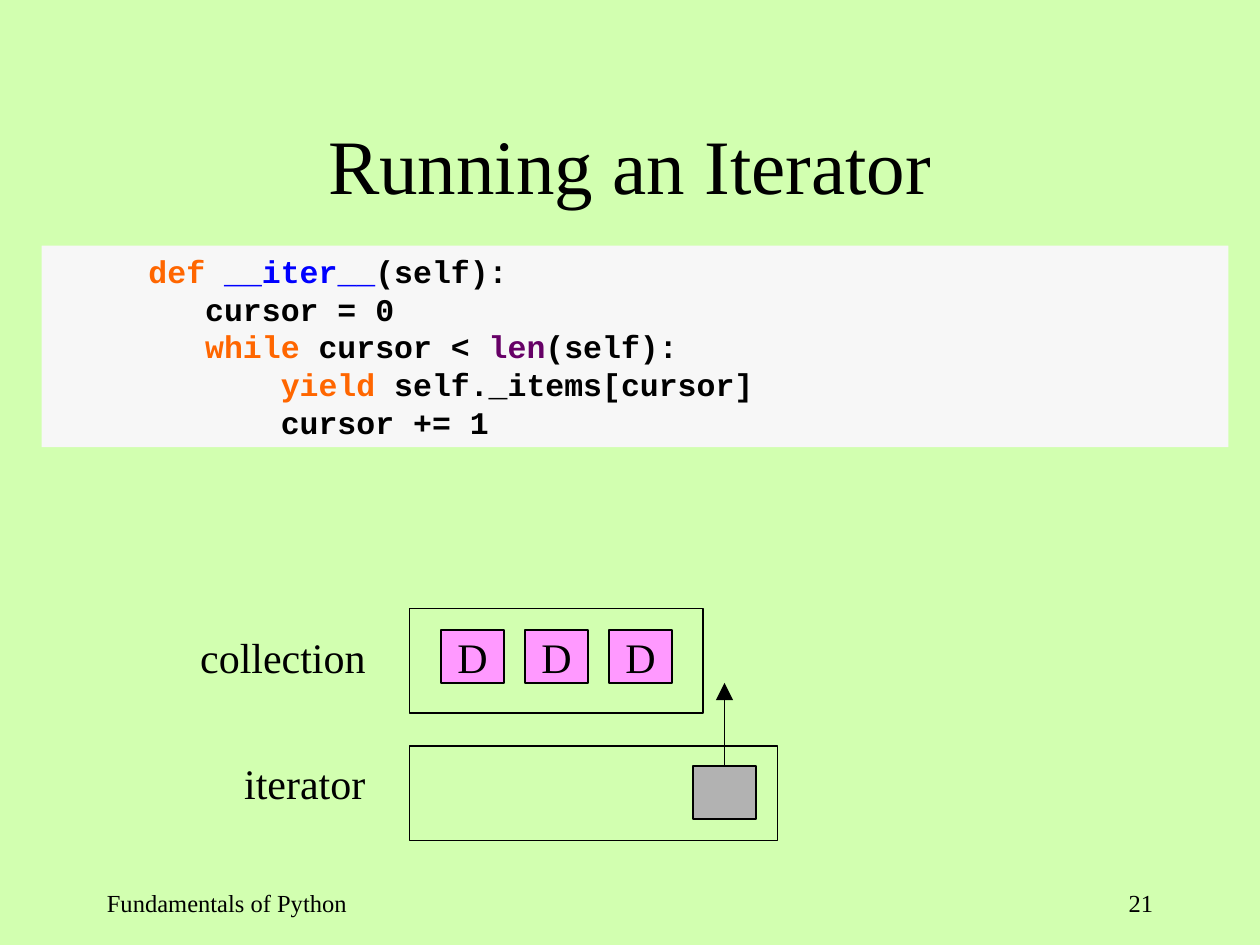
"""Build the slide that shows a list iterator after its last step."""
from lxml import etree
from pptx import Presentation
from pptx.dml.color import RGBColor
from pptx.enum import shapes, text
from pptx.oxml import ns
from pptx.util import Inches, Pt

SERIF, MONO = "Times New Roman", "Courier New"
BLACK, ORANGE, BLUE, PURPLE = "000000", "FF6600", "0000FF", "660066"
PINK, GRAY, PALE, GREEN = "FF99FF", "B2B2B2", "F7F7F7", "D2FFB0"
LEFT, CENTER, RIGHT = text.PP_ALIGN.LEFT, text.PP_ALIGN.CENTER, text.PP_ALIGN.RIGHT
TOP, MIDDLE = text.MSO_ANCHOR.TOP, text.MSO_ANCHOR.MIDDLE

LABELS = [
    ("Running an Iterator", (0.75, 0.67, 8.5, 1.25), 44, CENTER, MIDDLE, True),
    ("collection", (1.49, 4.96, 1.55, 0.5), 24, LEFT, TOP, False),
    ("iterator", (1.84, 5.96, 1.2, 0.5), 24, LEFT, TOP, False),
    ("Fundamentals of Python", (0.75, 7, 3.17, 0.5), 14, LEFT, TOP, True),
    ("21", (7.17, 7, 2.08, 0.5), 14, RIGHT, TOP, True),
]
CODE = [
    [("     def ", ORANGE), ("__iter__", BLUE), ("(self):", BLACK)],
    [("        cursor = 0", BLACK)],
    [("        ", BLACK), ("while", ORANGE), (" cursor < ", BLACK),
     ("len", PURPLE), ("(self):", BLACK)],
    [("            yield", ORANGE), (" self._items[cursor]", BLACK)],
    [("            cursor += 1", BLACK)],
]
CODE_AREA = (0.33, 1.95, 9.42, 1.6)
ITEMS = ["D", "D", "D"]
ITEM_LEFT, ITEM_TOP, ITEM_STEP = 3.5, 5, 2 / 3
CELL_WIDTH, CELL_HEIGHT = 0.5, 0.42
COLLECTION_AREA = (3.25, 4.83, 2.33, 0.83)
ITERATOR_AREA = (3.25, 5.92, 2.92, 0.75)
CURSOR_LEFT, CURSOR_TOP = 5.5, 6.08


def color(value):
    return RGBColor.from_string(value)


def write(box, lines, size, font=SERIF, bold=False, align=LEFT, anchor=TOP, wrap=True):
    frame = box.text_frame
    frame.word_wrap = wrap
    frame.vertical_anchor = anchor
    for index, line in enumerate(lines):
        para = frame.add_paragraph() if index else frame.paragraphs[0]
        para.alignment = align
        for words, shade in line:
            span = para.add_run()
            span.text = words
            span.font.size, span.font.name, span.font.bold = Pt(size), font, bold
            span.font.color.rgb = color(shade)


def add_rectangle(page, area, fill=None, outlined=True):
    box = page.shapes.add_shape(shapes.MSO_SHAPE.RECTANGLE, *map(Inches, area))
    box.shadow.inherit = False
    if fill:
        box.fill.solid()
        box.fill.fore_color.rgb = color(fill)
    else:
        box.fill.background()
    if outlined:
        box.line.color.rgb = color(BLACK)
        box.line.width = Pt(0.75)
    else:
        box.line.fill.background()
    return box


def add_arrow(page, source, x, y):
    arrow = page.shapes.add_connector(
        shapes.MSO_CONNECTOR.STRAIGHT, Inches(x), source.top, Inches(x), Inches(y))
    arrow.begin_connect(source, 0)
    arrow.line.color.rgb = color(BLACK)
    arrow.line.width = Pt(0.75)
    properties = arrow._element.spPr
    outline = properties.find(ns.qn("a:ln"))
    etree.SubElement(outline, ns.qn("a:tailEnd"), type="triangle", w="lg", len="lg")
    etree.SubElement(properties, ns.qn("a:effectLst"))


def main():
    deck = Presentation()
    deck.slide_width, deck.slide_height = Inches(10), Inches(7.5)
    page = deck.slides.add_slide(deck.slide_layouts[6])
    page.background.fill.solid()
    page.background.fill.fore_color.rgb = color(GREEN)

    for index, item in enumerate(ITEMS):
        left = ITEM_LEFT + index * ITEM_STEP
        cell = add_rectangle(page, (left, ITEM_TOP, CELL_WIDTH, CELL_HEIGHT), PINK)
        write(cell, [[(item, BLACK)]], 24, align=CENTER, anchor=MIDDLE, wrap=False)
    add_rectangle(page, COLLECTION_AREA)
    cursor = add_rectangle(page, (CURSOR_LEFT, CURSOR_TOP, CELL_WIDTH, CELL_HEIGHT), GRAY)
    add_rectangle(page, ITERATOR_AREA)
    add_arrow(page, cursor, CURSOR_LEFT + CELL_WIDTH / 2, ITEM_TOP + CELL_HEIGHT)

    write(add_rectangle(page, CODE_AREA, PALE, outlined=False), CODE, 18, MONO, bold=True)
    for words, area, size, align, anchor, wrap in LABELS:
        box = page.shapes.add_textbox(*map(Inches, area))
        write(box, [[(words, BLACK)]], size, align=align, anchor=anchor, wrap=wrap)
    deck.save("out.pptx")


if __name__ == "__main__":
    main()
